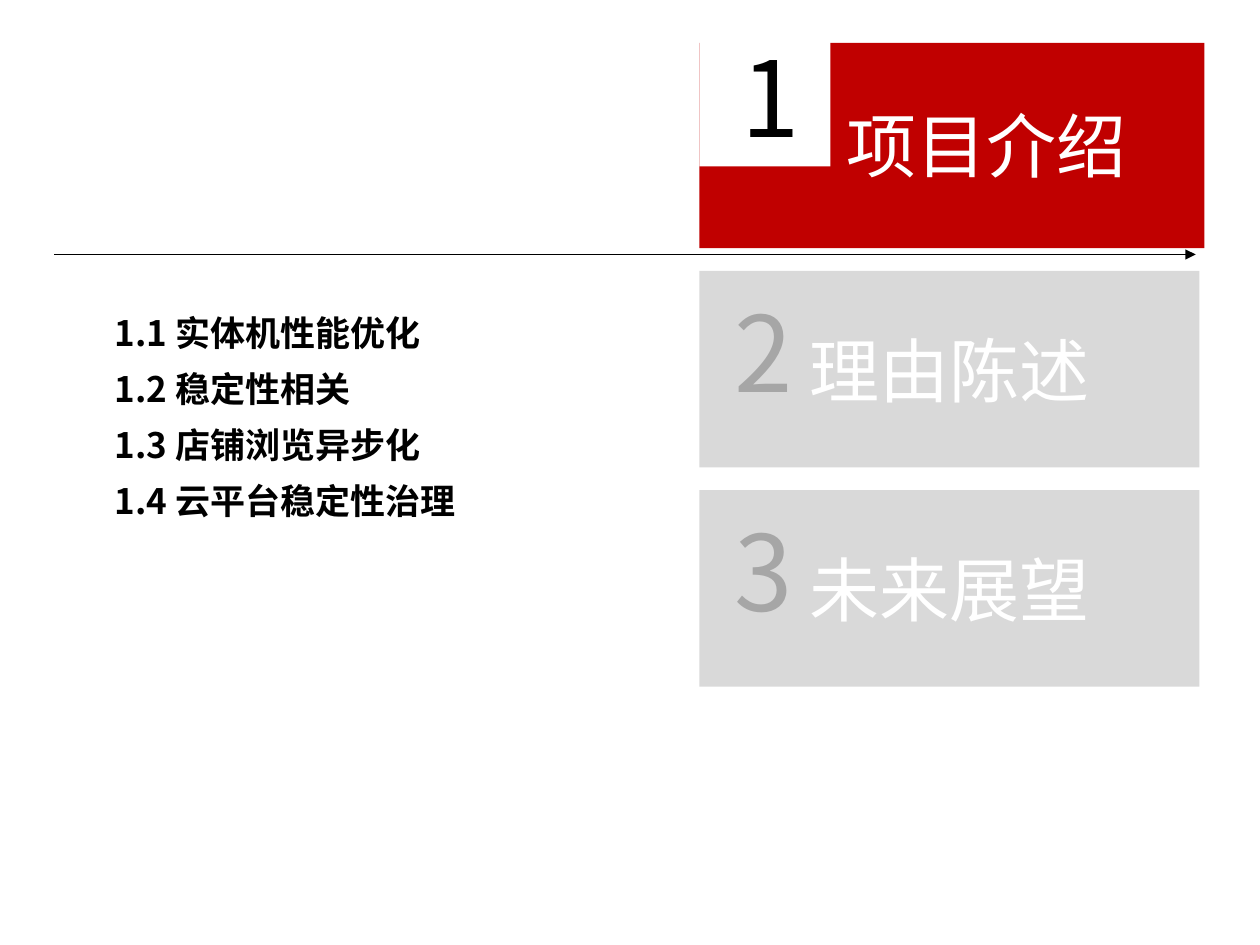
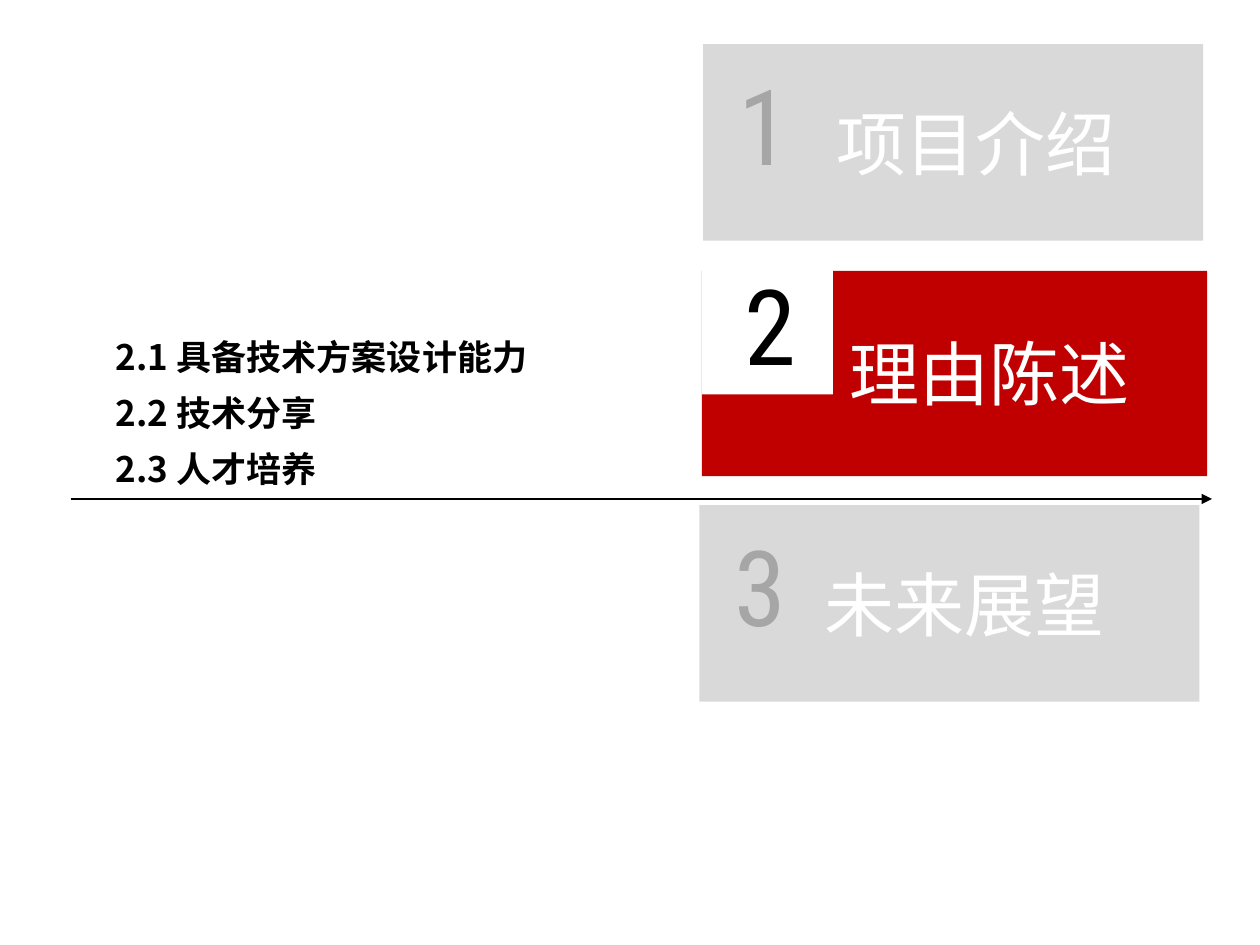
from pptx import Presentation
from pptx.dml.color import RGBColor
from pptx.enum.shapes import MSO_CONNECTOR, MSO_SHAPE
from pptx.enum.text import MSO_ANCHOR, MSO_AUTO_SIZE, PP_ALIGN
from pptx.oxml.ns import qn
from pptx.util import Inches, Pt
from lxml.etree import SubElement

RED, WHITE, BLACK = "C00000", "FFFFFF", "000000"
PALE, GREY = "D9D9D9", "A6A6A6"
CHINESE, CONDENSED, LATIN = "Noto Sans CJK SC", "Roboto Condensed", "Calibri"
HEADING = {"size": Pt(40), "name": CHINESE}
NUMBER = {"size": Pt(60)}
ITEM = {"size": Pt(20), "name": CHINESE, "bold": True}
CHAPTERS = ["项目介绍", "理由陈述", "未来展望"]

# Each card is (left, top, extra left inset of its heading).
SECTIONS = [
    {"active": 0, "digit_font": CHINESE, "heading_font": CHINESE,
     "cards": [(5.55, 0.34, 0), (5.55, 2.15, 0), (5.55, 3.89, 0)],
     "arrow": (0.43, 2.02), "list": (0.42, 2.42, 5.25, 3.74),
     "items": ["1.1 实体机性能优化", "1.2 稳定性相关",
               "1.3 店铺浏览异步化", "1.4 云平台稳定性治理"]},
    {"active": 1, "digit_font": CONDENSED, "heading_font": LATIN,
     "cards": [(5.58, 0.35, 0.36), (5.57, 2.15, 0), (5.55, 4.01, 0.24)],
     "arrow": (0.56, 3.96), "list": (0.43, 2.61, 5.25, 3.26),
     "items": ["2.1 具备技术方案设计能力", "2.2 技术分享", "2.3 人才培养"]},
]


def colour(value):
    """Turn a hex string into a colour."""
    return RGBColor.from_string(value)


def apply(target, values):
    """Set attributes of an object from a dict."""
    for name, value in values.items():
        setattr(target, name, value)


def place(shape, left, top, width, height):
    """Move and size a shape, in inches."""
    apply(shape, {"left": Inches(left), "top": Inches(top),
                  "width": Inches(width), "height": Inches(height)})


def write(para, text, values, ink):
    """Add formatted text to a paragraph."""
    span = para.add_run()
    span.text = text
    apply(span.font, values)
    span.font.color.rgb = colour(ink)
    east_asian = SubElement(span.font._element, qn("a:ea"))
    east_asian.set("typeface", CHINESE)


def add_block(page, left, top, width, height, fill):
    """Add a plain filled rectangle."""
    block = page.shapes.add_shape(
        MSO_SHAPE.RECTANGLE, Inches(left), Inches(top), Inches(width), Inches(height))
    block.shadow.inherit = False
    block.fill.solid()
    block.fill.fore_color.rgb = colour(fill)
    block.line.fill.background()
    return block


def add_digit(page, left, top, width, number, font, ink):
    """Add the large chapter number."""
    box = page.shapes.add_textbox(
        Inches(left), Inches(top), Inches(width), Inches(1.11))
    apply(box.text_frame, {"word_wrap": True,
                           "auto_size": MSO_AUTO_SIZE.SHAPE_TO_FIT_TEXT})
    write(box.text_frame.paragraphs[0], str(number), {**NUMBER, "name": font}, ink)


def add_active_card(page, left, top, number, heading, font):
    """Add the red card of the current chapter, with the slide title on it."""
    add_block(page, left, top, 4.01, 1.63, RED)
    add_block(page, left, top - 0.04, 1.04, 1.02, WHITE)
    title = page.shapes.title
    place(title, left + 1.07, top + 0.42, 2.67, 0.77)
    apply(title.text_frame, {"word_wrap": True, "auto_size": MSO_AUTO_SIZE.NONE,
                             "vertical_anchor": MSO_ANCHOR.TOP})
    para = title.text_frame.paragraphs[0]
    para.alignment = PP_ALIGN.LEFT
    write(para, heading, HEADING, WHITE)
    page.shapes._spTree.append(title._element)  # bring in front of the card
    add_digit(page, left + 0.24, top - 0.13, 0.65, number, font, BLACK)


def add_idle_card(page, left, top, inset, number, heading, section):
    """Add the grey card of another chapter."""
    card = add_block(page, left, top, 3.97, 1.56, PALE)
    apply(card.text_frame, {"word_wrap": True, "margin_left": Inches(0.1 + inset),
                            "vertical_anchor": MSO_ANCHOR.MIDDLE})
    para = card.text_frame.paragraphs[0]
    para.alignment = PP_ALIGN.CENTER
    write(para, heading, {**HEADING, "name": section["heading_font"]}, WHITE)
    add_digit(page, left + 0.18, top + 0.08, 0.68, number, section["digit_font"], GREY)


def add_arrow(page, left, top):
    """Add the long horizontal arrow."""
    arrow = page.shapes.add_connector(
        MSO_CONNECTOR.STRAIGHT, Inches(left), Inches(top),
        Inches(left + 9.06), Inches(top))
    arrow.line.width = Pt(1)
    arrow.line.color.rgb = colour(BLACK)
    SubElement(arrow.line._ln, qn("a:tailEnd")).set("type", "triangle")
    SubElement(arrow._element.spPr, qn("a:effectLst"))


def fill_list(page, area, items):
    """Fill the body placeholder with the numbered topics."""
    body = page.placeholders[1]
    place(body, *area)
    apply(body.text_frame, {"word_wrap": True, "auto_size": MSO_AUTO_SIZE.NONE})
    for index, item in enumerate(items):
        frame = body.text_frame
        para = frame.add_paragraph() if index else frame.paragraphs[0]
        para.level = 1
        settings = para._p.get_or_add_pPr()
        settings.set("marL", str(Inches(0.77)))
        settings.set("indent", str(Inches(-0.38)))
        for side in ("a:spcBef", "a:spcAft"):
            gap = SubElement(settings, qn(side))
            SubElement(gap, qn("a:spcPct")).set("val", "20000")
        SubElement(settings, qn("a:buNone"))
        write(para, item, ITEM, BLACK)


def add_section(deck, section):
    """Build one chapter slide."""
    page = deck.slides.add_slide(deck.slide_layouts[1])
    add_arrow(page, *section["arrow"])
    for index, (left, top, inset) in enumerate(section["cards"]):
        number, heading = index + 1, CHAPTERS[index]
        if index == section["active"]:
            add_active_card(page, left, top, number, heading, section["digit_font"])
        else:
            add_idle_card(page, left, top, inset, number, heading, section)
    fill_list(page, section["list"], section["items"])


def main():
    """Build and save the deck."""
    deck = Presentation()
    deck.slide_width, deck.slide_height = Inches(10), Inches(7.5)
    for section in SECTIONS:
        add_section(deck, section)
    deck.save("out.pptx")


main()
